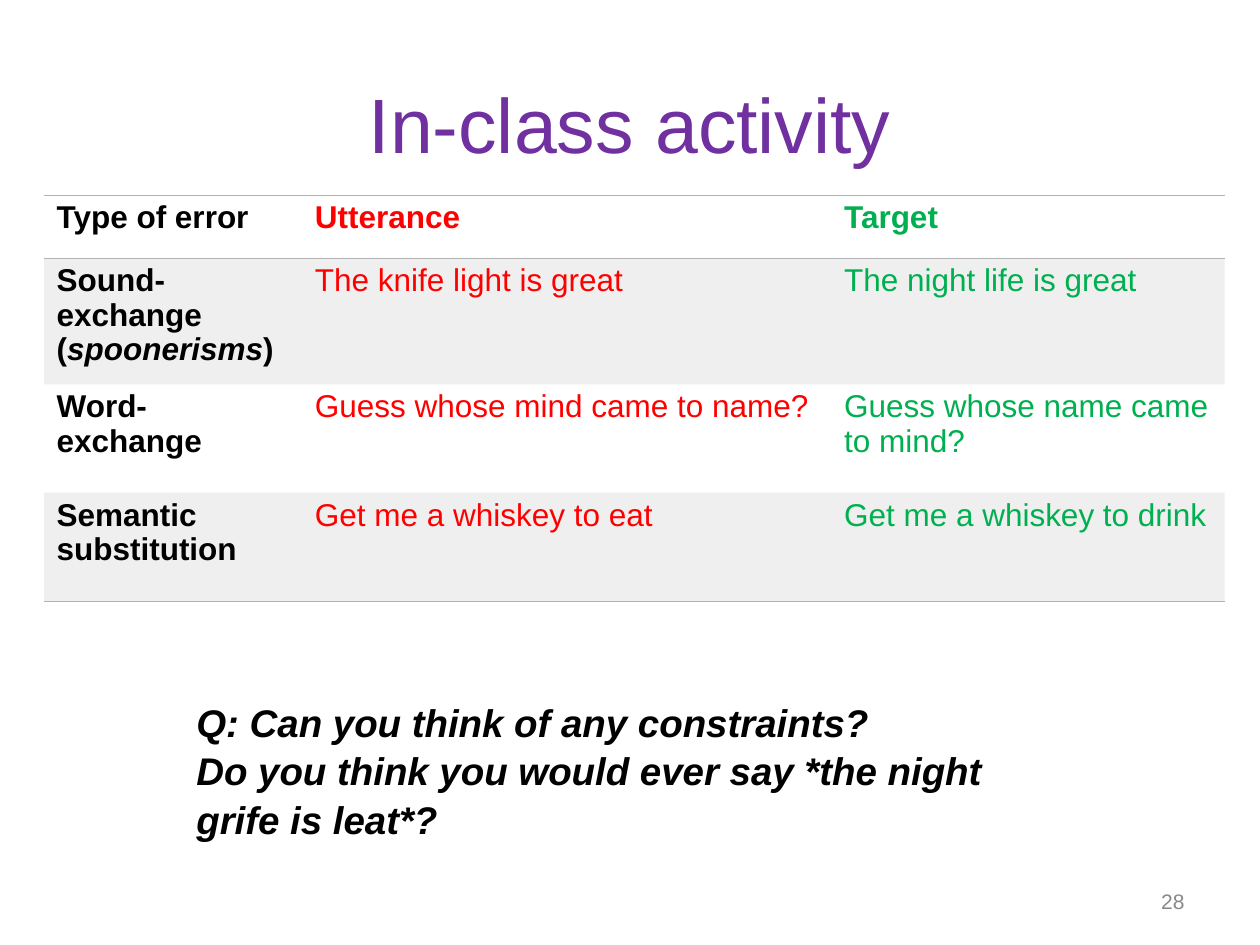
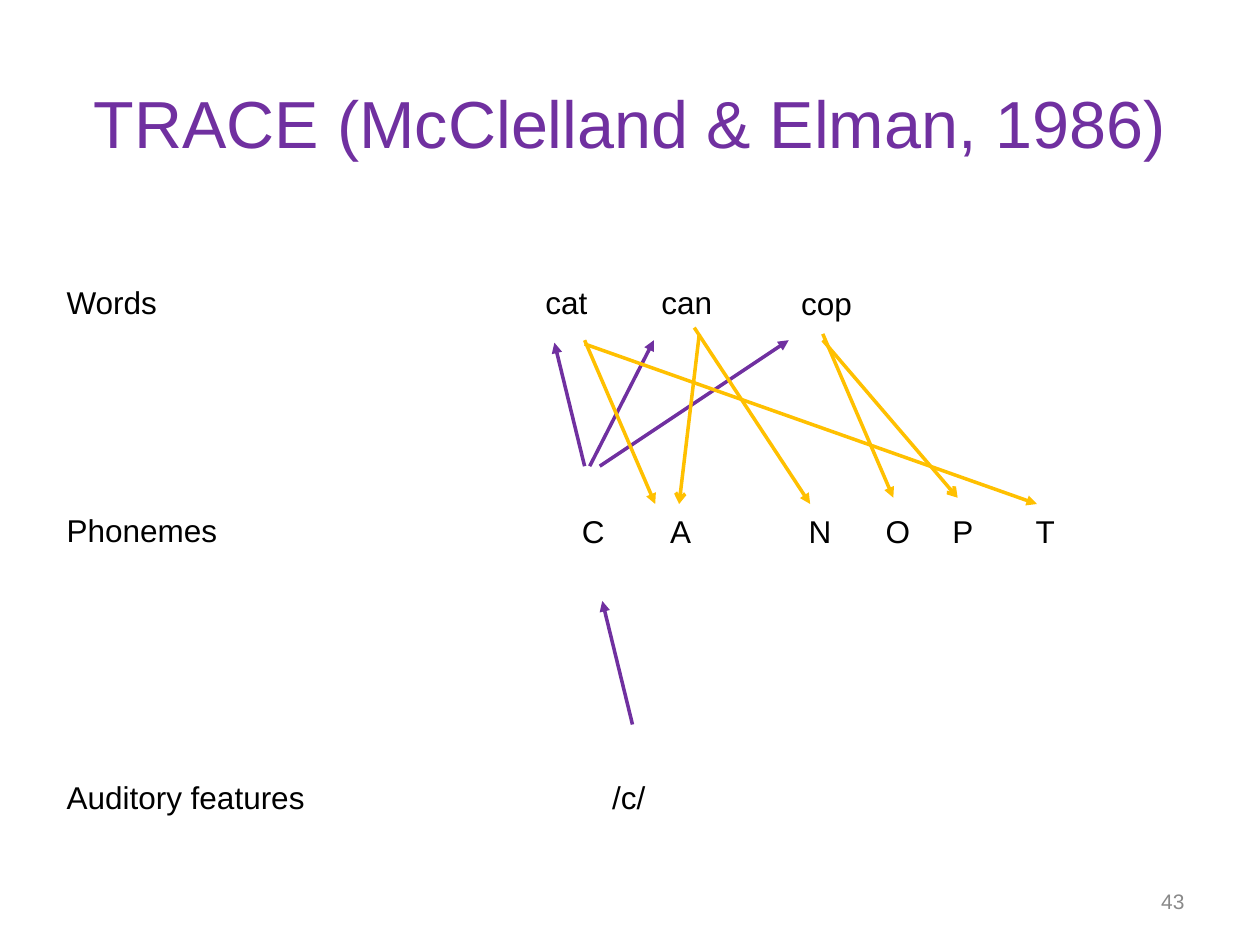
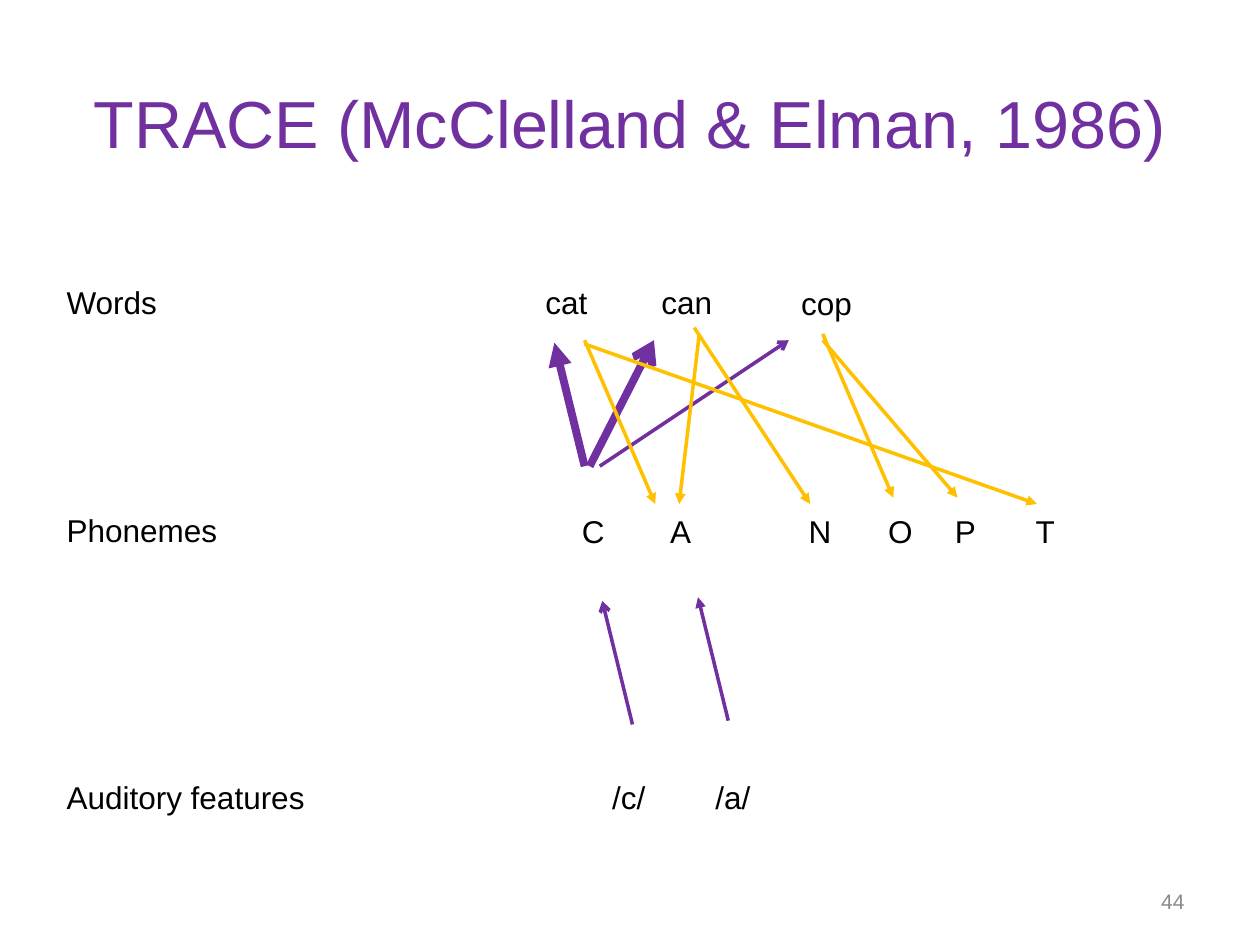
from dataclasses import dataclass

import lxml.etree
import pptx
import pptx.dml.color
import pptx.enum.shapes
import pptx.enum.text
import pptx.oxml.ns
import pptx.util

Inches = pptx.util.Inches
Pt = pptx.util.Pt
Align = pptx.enum.text.PP_ALIGN
Anchor = pptx.enum.text.MSO_ANCHOR
qn = pptx.oxml.ns.qn

FONT = "Arial"
PURPLE = "7030A0"
ORANGE = "FFC000"
RED = "FF0000"
GREEN = "00B050"
BLACK = "000000"
GREY = "B2B2B2"
PAGE_GREY = "898989"


@dataclass(frozen=True)
class Span:
    text: str
    italic: bool = False


@dataclass(frozen=True)
class Line:
    """One paragraph; space_before is in points, tabs in inches."""
    spans: tuple[Span, ...]
    space_before: float = 0
    tabs: tuple[float, ...] = ()


@dataclass(frozen=True)
class Label:
    text: str
    left: float
    top: float
    width: float = 0.79
    tabs: tuple[float, ...] = ()


@dataclass(frozen=True)
class Arrow:
    start: tuple[float, float]
    end: tuple[float, float]
    colour: str = PURPLE
    weight: float = 2
    head: str = "triangle"


def rgb(value: str) -> pptx.dml.color.RGBColor:
    return pptx.dml.color.RGBColor.from_string(value)


def plain(text: str, space_before: float = 0, tabs: tuple[float, ...] = ()) -> Line:
    return Line((Span(text),), space_before, tabs)


def add_child(parent, tag: str, **attributes: str):
    return lxml.etree.SubElement(parent, qn(tag), attributes)


def write_text(frame, lines: list[Line], *, size: float = 18, colour: str = BLACK,
               bold: bool = False, italic: bool = False, align=Align.LEFT,
               spacing: float = 1.05) -> None:
    for index, line in enumerate(lines):
        para = frame.paragraphs[0] if index == 0 else frame.add_paragraph()
        if line.tabs:
            stops = add_child(para._p.get_or_add_pPr(), "a:tabLst")
            for stop in line.tabs:
                add_child(stops, "a:tab", pos=str(Inches(stop)), algn="l")
        para.alignment = align
        para.line_spacing = spacing
        if line.space_before:
            para.space_before = Pt(line.space_before)
        for span in line.spans:
            run = para.add_run()
            run.text = span.text
            run.font.name = FONT
            run.font.size = Pt(size)
            run.font.bold = bold
            run.font.italic = italic or span.italic
            run.font.color.rgb = rgb(colour)


def add_text(page, lines: list[Line], left: float, top: float, width: float,
             height: float, *, anchor=Anchor.TOP, **text_format) -> None:
    box = page.shapes.add_textbox(Inches(left), Inches(top), Inches(width), Inches(height))
    box.text_frame.word_wrap = True
    box.text_frame.vertical_anchor = anchor
    write_text(box.text_frame, lines, **text_format)


def add_label(page, label: Label) -> None:
    add_text(page, [plain(label.text, tabs=label.tabs)],
             label.left, label.top, label.width, 0.4)


def add_arrow(page, arrow: Arrow) -> None:
    ends = [Inches(value) for value in (*arrow.start, *arrow.end)]
    connector = page.shapes.add_connector(pptx.enum.shapes.MSO_CONNECTOR.STRAIGHT, *ends)
    connector.line.color.rgb = rgb(arrow.colour)
    connector.line.width = Pt(arrow.weight)
    add_child(connector.line._get_or_add_ln(), "a:tailEnd", type=arrow.head)
    add_child(connector._element.spPr, "a:effectLst")


def add_page(deck, title: str, number: int, title_size: float):
    page = deck.slides.add_slide(deck.slide_layouts[6])
    add_text(page, [plain(title)], 0.5, 0.33, 9, 1.25, anchor=Anchor.MIDDLE,
             size=title_size, colour=PURPLE, align=Align.CENTER)
    add_text(page, [plain(str(number))], 7.17, 6.95, 2.33, 0.4, anchor=Anchor.MIDDLE,
             size=12, colour=PAGE_GREY, align=Align.RIGHT)
    return page


def style_cell(cell, shaded: bool, ruled_sides: set[str]) -> None:
    """Rule the named sides (T, B) in grey, clear the others, then fill."""
    properties = cell._tc.get_or_add_tcPr()
    for side in "LRTB":
        border = add_child(properties, f"a:ln{side}", w=str(Pt(0.45)))
        if side in ruled_sides:
            add_child(add_child(border, "a:solidFill"), "a:srgbClr", val=GREY)
        else:
            add_child(border, "a:noFill")
    if shaded:
        cell.fill.solid()
        cell.fill.fore_color.rgb = rgb(GREY)
        add_child(properties.find(qn("a:solidFill"))[0], "a:alpha", val="20000")
    else:
        cell.fill.background()


SPOONERISMS = Line((Span("("), Span("spoonerisms", italic=True), Span(")")))
ERROR_ROWS = [
    ([plain("Type of error")], "Utterance", "Target"),
    ([plain("Sound-exchange"), SPOONERISMS],
     "The knife light is great", "The night life is great"),
    ([plain("Word-exchange")],
     "Guess whose mind came to name?", "Guess whose name came to mind?"),
    ([plain("Semantic substitution")],
     "Get me a whiskey to eat", "Get me a whiskey to drink"),
]
COLUMN_WIDTHS = (2.05, 4.2, 3.12)
COLUMN_COLOURS = (BLACK, RED, GREEN)
ROW_HEIGHTS = (0.5, 1, 0.86, 0.86)
ROW_RULES = ({"T", "B"}, {"T"}, set(), {"B"})


def add_error_table(page) -> None:
    table = page.shapes.add_table(
        len(ERROR_ROWS), len(COLUMN_WIDTHS), Inches(0.35), Inches(1.55),
        Inches(sum(COLUMN_WIDTHS)), Inches(sum(ROW_HEIGHTS))).table
    table.first_row = table.horz_banding = False
    for column, width in zip(table.columns, COLUMN_WIDTHS):
        column.width = Inches(width)
    for row, (kind, utterance, target) in enumerate(ERROR_ROWS):
        table.rows[row].height = Inches(ROW_HEIGHTS[row])
        contents = (kind, [plain(utterance)], [plain(target)])
        for column, lines in enumerate(contents):
            cell = table.cell(row, column)
            write_text(cell.text_frame, lines, colour=COLUMN_COLOURS[column],
                       bold=row == 0 or column == 0, spacing=0.97)
            style_cell(cell, row % 2 == 1, ROW_RULES[row])


LEVELS = [plain("Words"), plain("Phonemes", 108), plain("Auditory features", 129.6)]
SHARED_LABELS = [
    Label("/c/", 4.76, 6.11),
    Label("C", 4.52, 4, 0.5),
    Label("cat", 4.23, 2.18),
    Label("can", 5.15, 2.18),
    Label("cop", 6.26, 2.19),
]
PHONEME_LEFT, PHONEME_WIDTH = 5.22, 4.52
N_TAB, O_TAB, P_TAB, T_TAB = 1.1, 1.71, 2.24, 2.9


def word_to_phoneme_arrows(cop_to_p_head: str, can_to_a_head: str) -> list[Arrow]:
    return [
        Arrow((4.64, 2.7), (5.2, 4), ORANGE),
        Arrow((4.64, 2.73), (8.23, 4), ORANGE),
        Arrow((5.51, 2.6), (6.43, 4), ORANGE),
        Arrow((6.53, 2.65), (7.09, 3.95), ORANGE),
        Arrow((6.53, 2.7), (7.6, 3.95), ORANGE, head=cop_to_p_head),
        Arrow((5.55, 2.65), (5.39, 4), ORANGE, head=can_to_a_head),
    ]


def phoneme_to_word_arrows(active_weight: float, can_head: str, cop_head: str) -> list[Arrow]:
    """Arrows from C; active_weight is the line width towards cat and can."""
    return [
        Arrow((4.64, 3.7), (4.4, 2.72), weight=active_weight),
        Arrow((4.76, 3.7), (6.26, 2.7), head=cop_head),
        Arrow((4.68, 3.7), (5.19, 2.7), weight=active_weight, head=can_head),
    ]


def add_trace_page(deck, number: int, labels: list[Label], arrows: list[Arrow]) -> None:
    page = add_page(deck, "TRACE (McClelland & Elman, 1986)", number, 38)
    add_text(page, LEVELS, 0.43, 2.18, 2.6, 4.3)
    for label in SHARED_LABELS + labels:
        add_label(page, label)
    for arrow in arrows:
        add_arrow(page, arrow)


def add_activity_page(deck) -> None:
    page = add_page(deck, "In-class activity", 28, 44)
    add_error_table(page)
    question = [
        plain("Q: Can you think of any constraints?"),
        plain("Do you think you would ever say *the night grife is leat*?"),
    ]
    add_text(page, question, 1.46, 5.48, 6.85, 1.2, size=22, bold=True, italic=True)


def main() -> None:
    deck = pptx.Presentation()
    deck.slide_width, deck.slide_height = Inches(10), Inches(7.5)
    add_activity_page(deck)

    sound_start, sound_end = (5.02, 5.75), (4.78, 4.77)
    add_trace_page(
        deck, 43,
        [Label("A\tN\tO\tP\tT", PHONEME_LEFT, 4, PHONEME_WIDTH,
               (N_TAB, O_TAB, P_TAB, T_TAB))],
        [Arrow(sound_start, sound_end),
         *phoneme_to_word_arrows(2, "triangle", "triangle"),
         *word_to_phoneme_arrows("arrow", "arrow")])
    add_trace_page(
        deck, 44,
        [Label("A\tN\tT", PHONEME_LEFT, 4, PHONEME_WIDTH, (N_TAB, T_TAB)),
         Label("O\tP", 6.95, 4, 0.99, (P_TAB - O_TAB,)),
         Label("/a/", 5.58, 6.11)],
        [Arrow(sound_start, sound_end, head="arrow"),
         *phoneme_to_word_arrows(4.5, "arrow", "arrow"),
         *word_to_phoneme_arrows("triangle", "triangle"),
         Arrow((5.78, 5.72), (5.54, 4.74))])
    deck.save("out.pptx")


if __name__ == "__main__":
    main()
